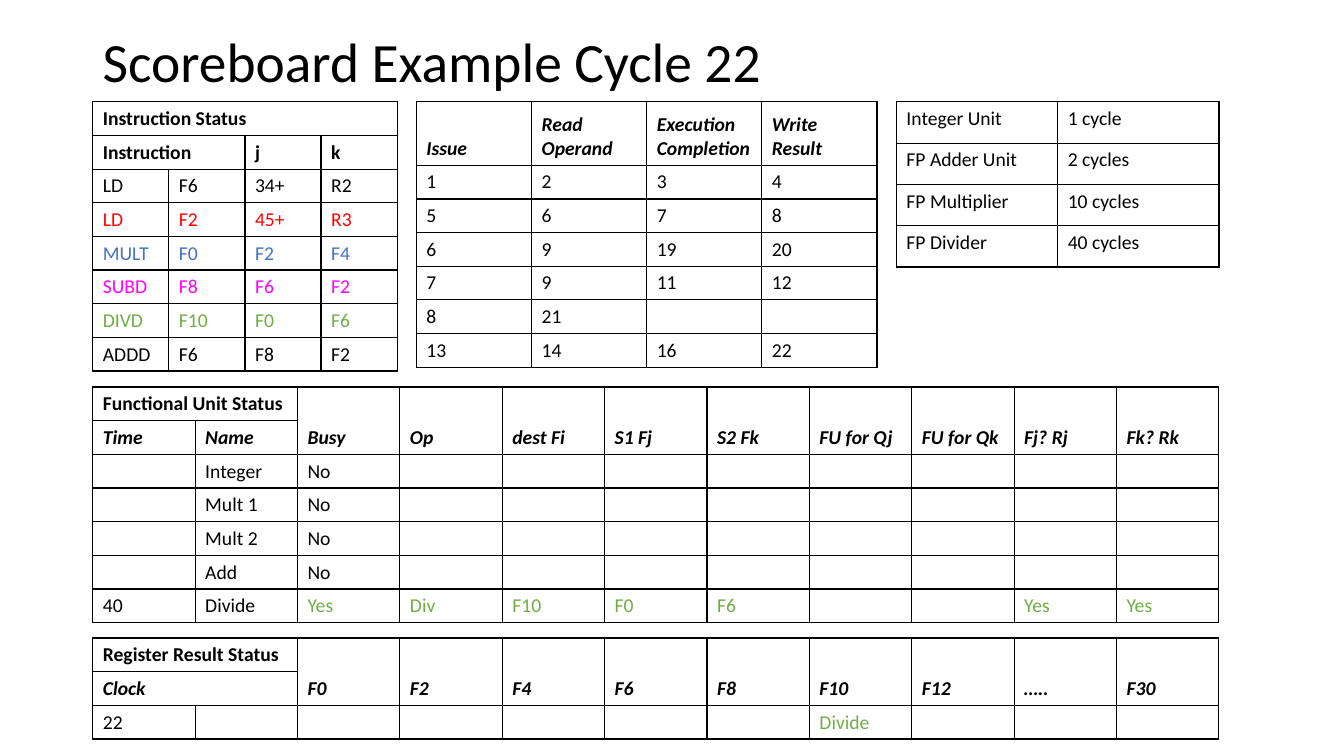
from lxml import etree
from pptx import Presentation
from pptx.dml.color import RGBColor
from pptx.enum import text
from pptx.oxml import ns
from pptx.util import Inches, Pt

# Content
TITLE = "Scoreboard Example Cycle 22"
INSTRUCTIONS = [
    ["Instruction Status"],
    ["Instruction", "", "j", "k"],
    ["LD", "F6", "34+", "R2"],
    ["LD", "F2", "45+", "R3"],
    ["MULT", "F0", "F2", "F4"],
    ["SUBD", "F8", "F6", "F2"],
    ["DIVD", "F10", "F0", "F6"],
    ["ADDD", "F6", "F8", "F2"],
]
STAGES = [
    ["Issue", "Read Operand", "Execution Completion", "Write Result"],
    ["1", "2", "3", "4"],
    ["5", "6", "7", "8"],
    ["6", "9", "19", "20"],
    ["7", "9", "11", "12"],
    ["8", "21"],
    ["13", "14", "16", "22"],
]
LATENCIES = [
    ["Integer Unit", "1 cycle"],
    ["FP Adder Unit", "2 cycles"],
    ["FP Multiplier", "10 cycles"],
    ["FP Divider", "40 cycles"],
]
UNITS = [
    ["Functional Unit Status", "", "Busy", "Op", "dest Fi", "S1 Fj", "S2 Fk",
     "FU for Qj", "FU for Qk", "Fj? Rj", "Fk? Rk"],
    ["Time", "Name"],
    ["", "Integer", "No"],
    ["", "Mult 1", "No"],
    ["", "Mult 2", "No"],
    ["", "Add", "No"],
    ["40", "Divide", "Yes", "Div", "F10", "F0", "F6", "", "", "Yes", "Yes"],
]
REGISTERS = [
    ["Register Result Status", "", "F0", "F2", "F4", "F6", "F8", "F10", "F12", "…..", "F30"],
    ["Clock"],
    ["22", "", "", "", "", "", "", "Divide"],
]

THEME = {
    "font": "Calibri", "title": 39.6, "body": 14, "border": 1,
    "black": "000000", "red": "FF0000", "blue": "4472C4",
    "magenta": "FF00FF", "green": "70AD47",
}

# Merged areas are (row, column, rows, columns)
TALL_HEADERS = [(0, column, 2, 1) for column in range(2, 11)]

# Coloured rows are row: (colour, first coloured column)
TABLES = [
    dict(rows=INSTRUCTIONS, box=(0.92, 1.01, 3.02), heights=[0.32] * 8, headers=2, italic=False,
         merges=[(0, 0, 1, 4), (1, 0, 1, 2)],
         colours={3: ("red", 0), 4: ("blue", 0), 5: ("magenta", 0), 6: ("green", 0)}),
    dict(rows=STAGES, box=(4.13, 1.01, 4.57), heights=[0.63] + [0.32] * 6, headers=1),
    dict(rows=UNITS, box=(0.92, 3.84, 11.17), heights=[0.33] * 7, headers=2,
         merges=[(0, 0, 1, 2)] + TALL_HEADERS, colours={6: ("green", 2)}),
    dict(rows=REGISTERS, box=(0.92, 6.33, 11.17), heights=[0.33] * 3, headers=2,
         merges=[(0, 0, 1, 2), (1, 0, 1, 2)] + TALL_HEADERS, colours={2: ("green", 2)}),
    dict(rows=LATENCIES, box=(8.89, 1.01, 3.2), heights=[0.41] * 4),
]


def write(frame, words, size="body", colour="black", bold=False, italic=False, spacing=None):
    paragraph = frame.paragraphs[0]
    if spacing:
        paragraph.line_spacing = spacing
    if not words:
        # An empty cell still needs the type size to keep its row low
        ending = etree.SubElement(paragraph._p, ns.qn("a:endParaRPr"))
        ending.set("sz", str(round(THEME[size] * 100)))
        return
    run = paragraph.add_run()
    run.text = words
    run.font.name = THEME["font"]
    run.font.size = Pt(THEME[size])
    run.font.color.rgb = RGBColor.from_string(THEME[colour])
    run.font.bold = bold
    run.font.italic = italic


def draw_borders(cell):
    cell.fill.background()
    properties = cell._tc.get_or_add_tcPr()
    for index, side in enumerate(("lnL", "lnR", "lnT", "lnB")):
        line = etree.Element(ns.qn(f"a:{side}"), w=str(Pt(THEME["border"])))
        fill = etree.SubElement(line, ns.qn("a:solidFill"))
        etree.SubElement(fill, ns.qn("a:srgbClr"), val=THEME["black"])
        properties.insert(index, line)


def add_grid(slide, rows, box, heights, headers=0, italic=True, merges=(), colours=None):
    left, top, width = box
    columns = max(len(row) for row in rows)
    table = slide.shapes.add_table(len(rows), columns, Inches(left), Inches(top),
                                   Inches(width), Inches(sum(heights))).table
    table.first_row = table.horz_banding = False
    for column in table.columns:
        column.width = Inches(width / columns)
    for row, height in zip(table.rows, heights):
        row.height = Inches(height)

    for r, words in enumerate(rows):
        header = r < headers
        colour, first = (colours or {}).get(r, ("black", 0))
        for c in range(columns):
            cell = table.cell(r, c)
            value = words[c] if c < len(words) else ""
            write(cell.text_frame, value, bold=header,
                  italic=header and italic and not value.endswith("Status"),
                  colour=colour if c >= first else "black")
            cell.vertical_anchor = text.MSO_ANCHOR.BOTTOM if header else text.MSO_ANCHOR.TOP
            draw_borders(cell)

    for r, c, tall, wide in merges:
        table.cell(r, c).merge(table.cell(r + tall - 1, c + wide - 1))


def main():
    presentation = Presentation()
    presentation.slide_width, presentation.slide_height = Inches(13.33), Inches(7.5)
    slide = presentation.slides.add_slide(presentation.slide_layouts[6])

    # Title
    title = slide.shapes.add_textbox(Inches(0.92), Inches(0.27), Inches(11.5), Inches(0.74))
    title.text_frame.word_wrap = True
    title.text_frame.vertical_anchor = text.MSO_ANCHOR.MIDDLE
    write(title.text_frame, TITLE, size="title", spacing=0.9)

    # Scoreboard tables
    for grid in TABLES:
        add_grid(slide, **grid)

    presentation.save("out.pptx")


if __name__ == "__main__":
    main()
